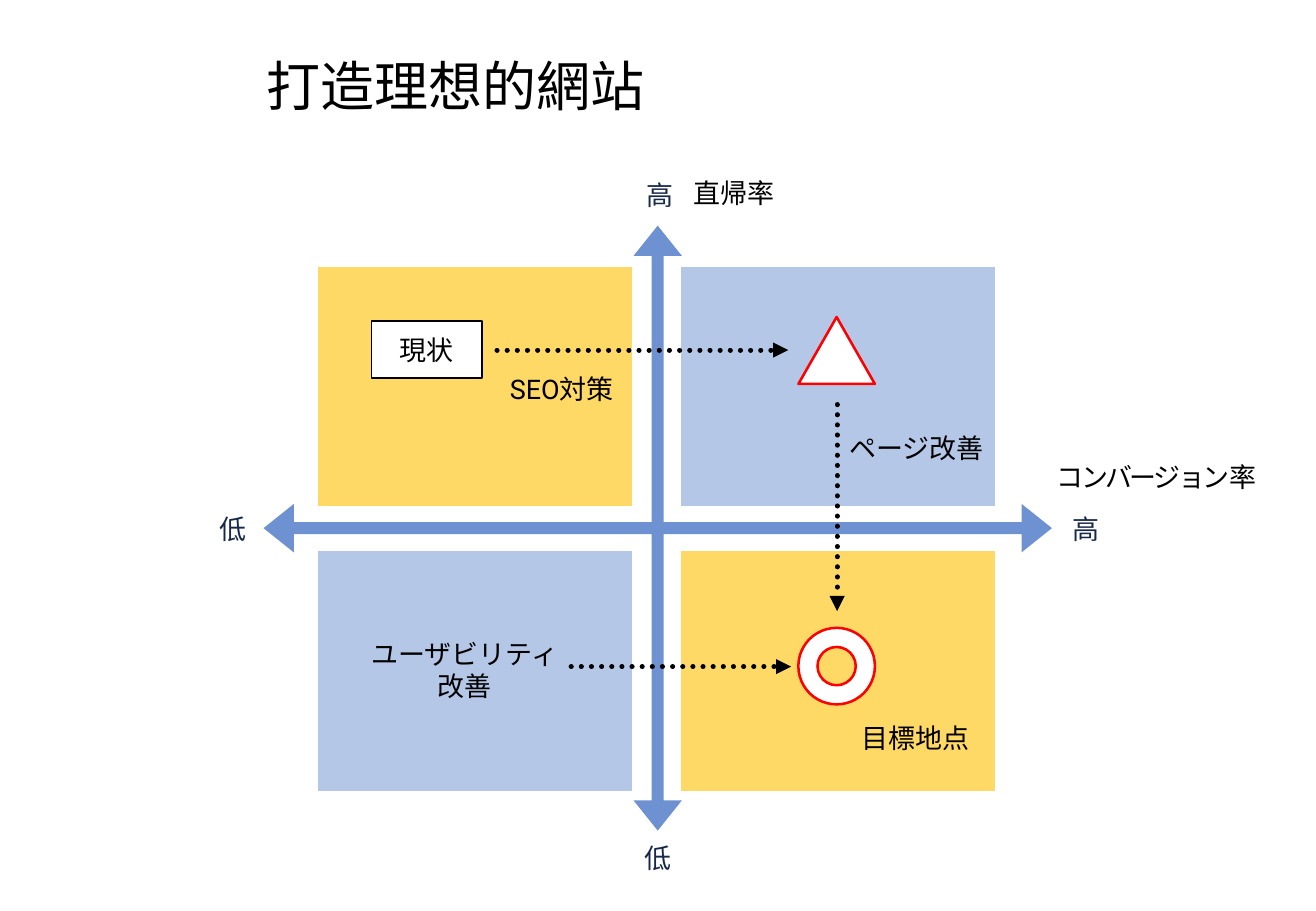
from lxml import etree
from pptx import Presentation
from pptx import util as u
from pptx.dml.color import RGBColor
from pptx.enum import dml, shapes, text
from pptx.oxml import ns

GOLD = RGBColor(0xFF, 0xD9, 0x66)
PALE = RGBColor(0xB4, 0xC7, 0xE7)
AXIS = RGBColor(0x6D, 0x91, 0xD1)
NAVY = RGBColor(0x17, 0x29, 0x49)
RED = RGBColor(0xFF, 0x00, 0x00)
BLACK = RGBColor(0x00, 0x00, 0x00)
WHITE = RGBColor(0xFF, 0xFF, 0xFF)

KIND = shapes.MSO_SHAPE
MID = text.PP_ALIGN.CENTER
LEFT = text.PP_ALIGN.LEFT


def cms(*nums):
    return [u.Cm(n) for n in nums]


def style(para, size=16, name="Roboto", align=MID, color=BLACK):
    para.alignment = align
    for key, val in {"size": u.Pt(size), "name": name}.items():
        setattr(para.font, key, val)
    para.font.color.rgb = color


def shape(slide, kind, box, fill, line=None, width=1):
    item = slide.shapes.add_shape(kind, *cms(*box))
    item.shadow.inherit = False
    item.fill.solid()
    item.fill.fore_color.rgb = fill
    if line is None:
        item.line.fill.background()
    else:
        item.line.color.rgb = line
        item.line.width = u.Pt(width)
    return item


def label(slide, words, box, wrap=False, anchor=text.MSO_ANCHOR.TOP, **look):
    frame = slide.shapes.add_textbox(*cms(*box)).text_frame
    for key, val in {"word_wrap": wrap, "vertical_anchor": anchor}.items():
        setattr(frame, key, val)
    para = frame.paragraphs[0]
    para.text = words
    style(para, **look)
    return para


def arrow(slide, ends):
    item = slide.shapes.add_connector(shapes.MSO_CONNECTOR.STRAIGHT, *cms(*ends))
    for key, val in {"width": u.Pt(3), "dash_style": dml.MSO_LINE.ROUND_DOT}.items():
        setattr(item.line, key, val)
    item.line.color.rgb = BLACK
    props = item._element.spPr
    line = props.find(ns.qn("a:ln"))
    line.set("cap", "rnd")
    etree.SubElement(line, ns.qn("a:tailEnd"), type="triangle")
    etree.SubElement(props, ns.qn("a:effectLst"))


def head(slide, words):
    title = slide.shapes.title
    title.left, title.top, title.width, title.height = cms(5.31, 0.97, 16.92, 1.63)
    frame = title.text_frame
    frame.text = words
    for key, val in {"auto_size": text.MSO_AUTO_SIZE.NONE,
                     "vertical_anchor": text.MSO_ANCHOR.TOP}.items():
        setattr(frame, key, val)
    style(frame.paragraphs[0], size=32, align=LEFT)


def grid(slide):
    # Four quadrants with alternating colours
    for row in range(2):
        for col in range(2):
            box = (6.63 + 7.59 * col, 5.56 + 5.95 * row, 6.6, 5.05)
            shape(slide, KIND.RECTANGLE, box, (GOLD, PALE)[(row + col) % 2], WHITE)


def axes(slide):
    # Crossed axes, with their ends and names
    cross = shape(slide, KIND.QUAD_ARROW, (5.51, 4.72, 16.48, 12.65), AXIS)
    for i, val in enumerate((0.02, 0.04, 0.05)):
        cross.adjustments[i] = val
    for words, x, y in (("高", 13.26, 3.58), ("低", 13.23, 17.45),
                        ("低", 4.34, 10.57), ("高", 22.17, 10.57)):
        label(slide, words, (x, y, 0.99, 0.99), anchor=text.MSO_ANCHOR.MIDDLE,
              name="Noto Sans CJK JP", color=NAVY)
    label(slide, "直帰率", (14.25, 3.56, 2.24, 0.94), align=LEFT)
    para = label(slide, "コンバージョン", (21.84, 9.5, 4.7, 0.94), align=LEFT)
    para.runs[0]._r.get_or_add_rPr().set("spc", "-150")
    para.add_run().text = "率"


def route(slide):
    # Start, midway and goal marks
    start = shape(slide, KIND.RECTANGLE, (7.77, 6.71, 2.31, 1.19), WHITE, BLACK)
    start.text_frame.text = "現状"
    style(start.text_frame.paragraphs[0], name="Calibri")
    shape(slide, KIND.ISOSCELES_TRIANGLE, (16.69, 6.63, 1.6, 1.4), WHITE, RED, 1.5)
    shape(slide, KIND.DONUT, (16.69, 13.13, 1.6, 1.6), WHITE, RED, 1.5)

    # Steps between the marks
    for ends in ((10.39, 7.32, 16.48, 7.32), (17.5, 8.46, 17.5, 12.78),
                 (11.94, 13.94, 16.54, 13.94)):
        arrow(slide, ends)
    label(slide, "SEO対策", (10.36, 7.67, 2.77, 0.94), wrap=True)
    label(slide, "ページ改善", (17.48, 8.89, 3.35, 0.94))
    label(slide, "ユーザビリティ\n改善", (7.47, 13.21, 4.5, 1.63))
    label(slide, "目標地点", (17.75, 14.96, 2.79, 0.94))


def main():
    deck = Presentation()
    deck.slide_width, deck.slide_height = cms(27.51, 19.05)
    slide = deck.slides.add_slide(deck.slide_layouts[5])
    head(slide, "打造理想的網站")
    grid(slide)
    axes(slide)
    route(slide)
    deck.save("out.pptx")


if __name__ == "__main__":
    main()
